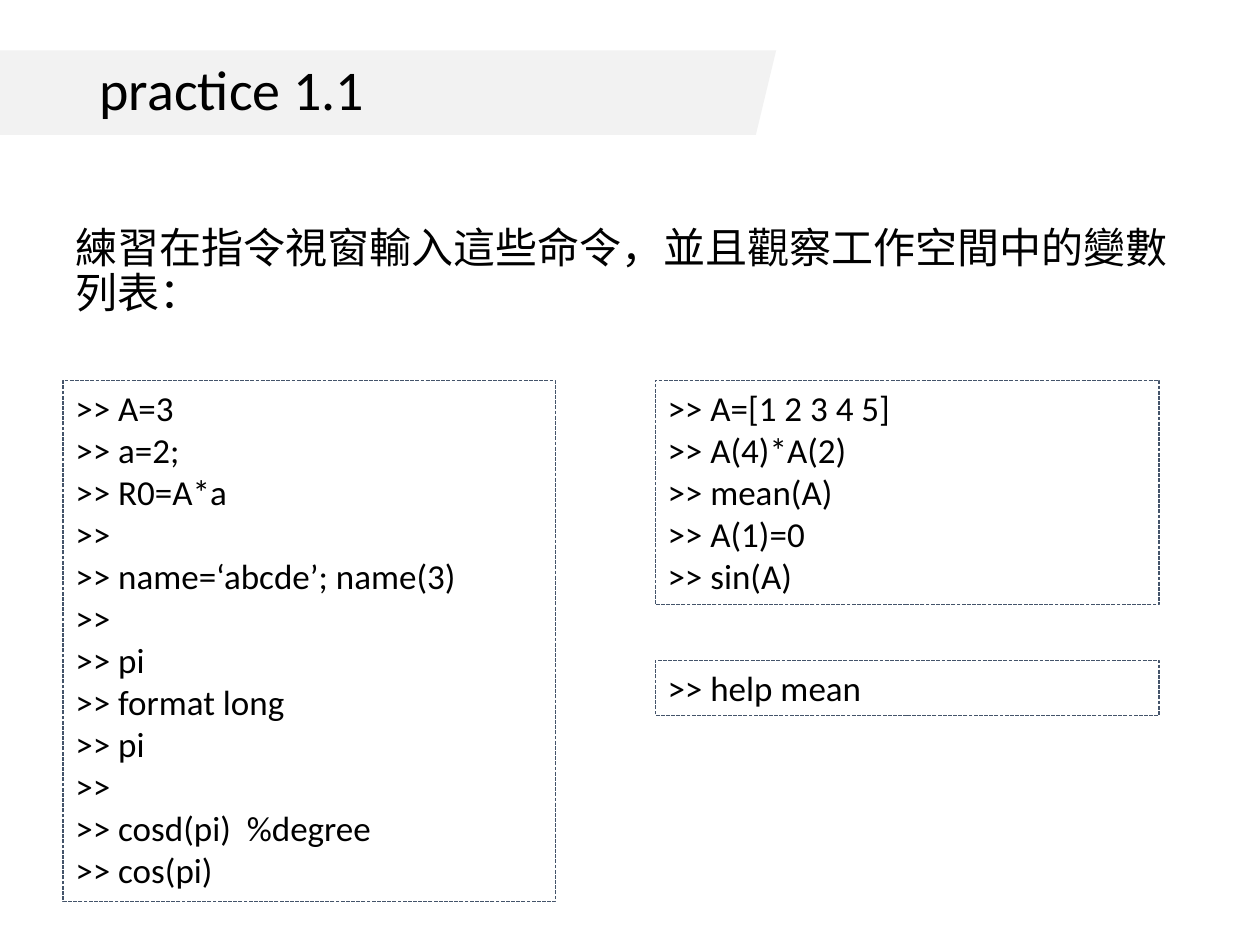
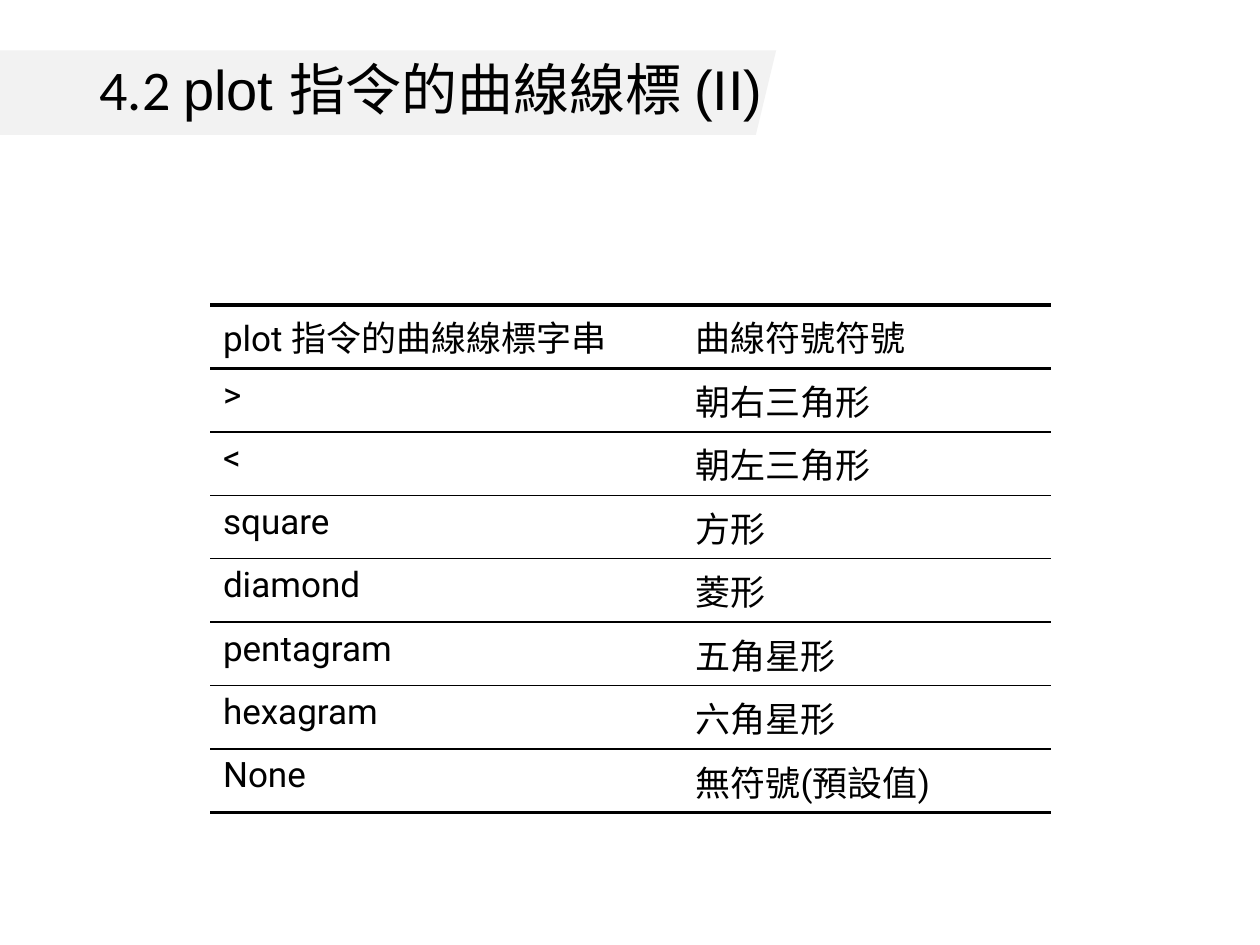
from lxml import etree
from pptx import Presentation
from pptx import util as u
from pptx.dml.color import RGBColor
from pptx.enum import dml, shapes, text
from pptx.oxml import ns

INK, BAND, BOX_LINE = "000000", "F2F2F2", "44546A"
COLUMN = ROW = u.Inches(1)
COLUMNS, ROWS = 10, 7.5
CODE_LINE, CODE_PADDING = u.Pt(24.2), u.Inches(0.1)
TITLE_AREA = (0.69, 0.4, 5.59, 0.67)
BAND_AREA = (-0.19, 0.4, 6.35, 0.67)
THIN, THICK = 1, 2.25

LEFT_CODE = (">> A=3", ">> a=2;", ">> R0=A*a", ">>",
             ">> name=‘abcde’; name(3)", ">>", ">> pi", ">> format long",
             ">> pi", ">>", ">> cosd(pi)  %degree", ">> cos(pi)")
ARRAY_CODE = (">> A=[1 2 3 4 5]", ">> A(4)*A(2)", ">> mean(A)",
              ">> A(1)=0", ">> sin(A)")
HELP_CODE = (">> help mean",)

MARKERS = (("plot 指令的曲線線標字串", "曲線符號符號"),
           (">", "朝右三角形"),
           ("<", "朝左三角形"),
           ("square", "方形"),
           ("diamond", "菱形"),
           ("pentagram", "五角星形"),
           ("hexagram", "六角星形"),
           ("None", "無符號(預設值)"))


def color(hex_value):
    """Turn a hex string into a colour."""
    return RGBColor.from_string(hex_value)


def area(left, top, width, height):
    """Turn grid columns and rows into lengths."""
    return (int(left * COLUMN), int(top * ROW),
            int(width * COLUMN), int(height * ROW))


def move(placeholder, *grid_area):
    """Put a placeholder on the grid."""
    (placeholder.left, placeholder.top,
     placeholder.width, placeholder.height) = area(*grid_area)


def write(frame, *lines, font="Calibri", size=20, spacing=None, before=0,
          anchor=text.MSO_ANCHOR.TOP, fit=text.MSO_AUTO_SIZE.NONE):
    """Write lines, each a string or a list of (words, font) runs."""
    frame.word_wrap = True
    frame.auto_size = fit
    frame.vertical_anchor = anchor
    for index, line in enumerate(lines):
        paragraph = frame.add_paragraph() if index else frame.paragraphs[0]
        paragraph.alignment = text.PP_ALIGN.LEFT
        paragraph.space_before = u.Pt(before)
        if spacing:
            paragraph.line_spacing = spacing
        for words, face in [(line, font)] if isinstance(line, str) else line:
            run = paragraph.add_run()
            run.text = words
            run.font.name = face
            run.font.size = u.Pt(size)
            run.font.color.rgb = color(INK)


def add_titled_slide(deck, layout, title):
    """Add a slide with its title set inside the band."""
    slide = deck.slides.add_slide(deck.slide_layouts[layout])
    move(slide.shapes.title, *TITLE_AREA)
    write(slide.shapes.title.text_frame, title, size=32, spacing=0.9,
          anchor=text.MSO_ANCHOR.MIDDLE)
    return slide


def add_master_band(deck, slide):
    """Draw the title band and move it to the back of the master."""
    band = slide.shapes.add_shape(shapes.MSO_SHAPE.PARALLELOGRAM, *area(*BAND_AREA))
    band.adjustments[0] = 0.24
    band.shadow.inherit = False
    band.fill.solid()
    band.fill.fore_color.rgb = color(BAND)
    band.line.fill.background()
    deck.slide_master.shapes.element.insert(2, band.element)


def add_instruction(slide, words):
    """Set the body placeholder as a plain paragraph without a bullet."""
    body = slide.placeholders[1]
    move(body, 0.5, 1.75, 9, 1.17)
    write(body.text_frame, words, font="Arial", size=24, spacing=0.9, before=10)
    properties = body.text_frame.paragraphs[0]._p.get_or_add_pPr()
    properties.set("marL", "0")
    properties.set("indent", "0")
    etree.SubElement(properties, ns.qn("a:buNone"))


def add_code_box(slide, left, top, width, lines):
    """Draw a dashed box as tall as its code and return its bottom row."""
    height = (len(lines) * CODE_LINE + CODE_PADDING) / ROW
    box = slide.shapes.add_shape(shapes.MSO_SHAPE.RECTANGLE,
                                 *area(left, top, width, height))
    box.shadow.inherit = False
    box.fill.background()
    box.line.color.rgb = color(BOX_LINE)
    box.line.width = u.Pt(0.75)
    box.line.dash_style = dml.MSO_LINE.SQUARE_DOT
    write(box.text_frame, *lines, fit=text.MSO_AUTO_SIZE.SHAPE_TO_FIT_TEXT)
    return top + height


def set_borders(cell, top, bottom):
    """Rule a cell above and below and leave its sides open."""
    properties = cell._tc.get_or_add_tcPr()
    sides = (("lnL", 0), ("lnR", 0), ("lnT", top), ("lnB", bottom))
    for index, (side, points) in enumerate(sides):
        rule = etree.Element(ns.qn(f"a:{side}"), w=str(int(u.Pt(points))))
        if points:
            paint = etree.SubElement(rule, ns.qn("a:solidFill"))
            etree.SubElement(paint, ns.qn("a:srgbClr"), val=INK)
        else:
            etree.SubElement(rule, ns.qn("a:noFill"))
        properties.insert(index, rule)


def add_ruled_table(slide, left, top, widths, row_height, rows):
    """Add a table with thick rules round its header and at its end."""
    table = slide.shapes.add_table(
        len(rows), len(widths),
        *area(left, top, sum(widths), row_height * len(rows))).table
    table.first_row = table.horz_banding = False
    for column, width in zip(table.columns, widths):
        column.width = int(width * COLUMN)
    rules = [THICK, THICK] + [THIN] * (len(rows) - 2) + [THICK]
    for row, entries in enumerate(rows):
        for column, entry in enumerate(entries):
            cell = table.cell(row, column)
            write(cell.text_frame, entry, font="Roboto", before=4)
            cell.fill.background()
            set_borders(cell, rules[row], rules[row + 1])


def main():
    """Build both slides and save them."""
    deck = Presentation()
    deck.slide_width = COLUMNS * COLUMN
    deck.slide_height = int(ROWS * ROW)

    practice = add_titled_slide(deck, 1, "practice 1.1")
    add_master_band(deck, practice)
    add_instruction(practice, "練習在指令視窗輸入這些命令，並且觀察工作空間中的變數列表：")
    add_code_box(practice, 0.5, 3.02, 3.91, LEFT_CODE)
    array_bottom = add_code_box(practice, 5.2, 3.02, 4, ARRAY_CODE)
    add_code_box(practice, 5.2, array_bottom + 0.44, 4, HELP_CODE)

    markers = add_titled_slide(
        deck, 5, [("4.2 ", "Calibri"), ("plot 指令的曲線線標 (II)", "Arial")])
    add_ruled_table(markers, 1.67, 2.42, (3.75, 2.92), 0.46, MARKERS)

    deck.save("out.pptx")


if __name__ == "__main__":
    main()
